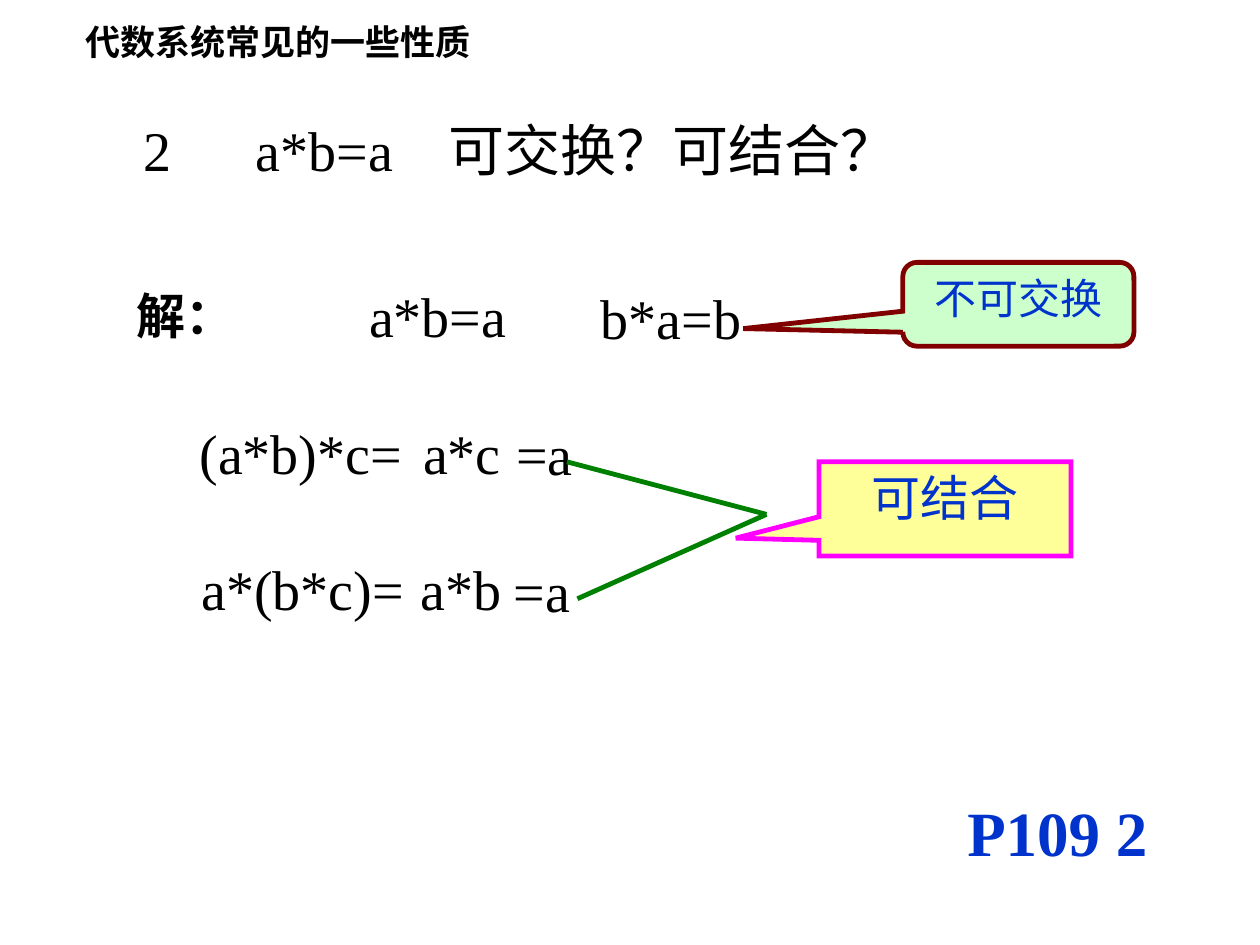
"""Build a slide on commutativity and associativity of a*b=a."""
from lxml import etree
from pptx import Presentation
from pptx.dml.color import RGBColor
from pptx.enum.shapes import MSO_CONNECTOR, MSO_SHAPE as SHAPE
from pptx.enum.text import MSO_ANCHOR, MSO_AUTO_SIZE, PP_ALIGN
from pptx.oxml.ns import qn
from pptx.util import Cm, Pt

BLACK = RGBColor(0, 0, 0)
BLUE = RGBColor(0x00, 0x33, 0xCC)
GREEN = RGBColor(0x00, 0x80, 0x00)
MAROON = RGBColor(0x80, 0x00, 0x00)
MAGENTA = RGBColor(0xFF, 0x00, 0xFF)
MINT = RGBColor(0xCC, 0xFF, 0xCC)
YELLOW = RGBColor(0xFF, 0xFF, 0x99)
LINE_WIDTH = Pt(2.75)

TITLE = dict(name="Arial", size=Pt(20), bold=True, color=BLACK)
LABEL = dict(TITLE, size=Pt(28))
FORMULA = dict(name="Times New Roman", size=Pt(32), bold=False, color=BLACK)
PAGE = dict(FORMULA, size=Pt(36), bold=True, color=BLUE)
VERDICT = dict(name="Arial", size=Pt(24), bold=False, color=BLUE)
BIG_VERDICT = dict(VERDICT, size=Pt(28))

QUESTION = "2\ta*b=a\t可交换？可结合？"
QUESTION_INSET = 0.82
QUESTION_TABS = (2.26, 6.14)

TEXTS = [
    ("代数系统常见的一些性质", (1.47, 0.28, 10.21, 1.09), TITLE),
    (QUESTION, (2.08, 2.21, 19.1, 1.6), FORMULA),
    ("解：", (2.5, 5.64, 2.5, 1.45), LABEL),
    ("a*b=a", (7.19, 5.56, 3.3, 1.6), FORMULA),
    ("b*a=b", (11.86, 5.59, 3.4, 1.6), FORMULA),
    ("(a*b)*c=", (3.77, 8.31, 4.65, 1.6), FORMULA),
    ("a*c", (8.28, 8.31, 2.15, 1.6), FORMULA),
    ("=a", (10.16, 8.33, 1.7, 1.6), FORMULA),
    ("a*(b*c)=", (3.81, 11.05, 4.65, 1.6), FORMULA),
    ("a*b", (8.23, 11.05, 2.25, 1.6), FORMULA),
    ("=a", (10.11, 11.1, 1.7, 1.6), FORMULA),
    ("P109 2", (19.25, 15.88, 4.25, 1.8), PAGE),
]
CALLOUTS = [
    ("不可交换", SHAPE.ROUNDED_RECTANGULAR_CALLOUT, (18.2, 5.29, 4.66, 1.69),
     (-1.19, 0.29, 0.17), MINT, MAROON, VERDICT),
    ("可结合", SHAPE.RECTANGULAR_CALLOUT, (16.51, 9.31, 5.08, 1.9),
     (-0.83, 0.31), YELLOW, MAGENTA, BIG_VERDICT),
]
LINE_STARTS = [(11.43, 9.31), (11.64, 12.07)]
MEETING_POINT = (15.45, 10.37)


def cm(values):
    return [Cm(v) for v in values]


def write(tf, text, style):
    r = tf.paragraphs[0].add_run()
    r.text = text
    for key, value in style.items():
        if key == "color":
            r.font.color.rgb = value
        else:
            setattr(r.font, key, value)


def add_tabs(p, stops):
    tabs = etree.SubElement(p._p.get_or_add_pPr(), qn("a:tabLst"))
    for stop in stops:
        etree.SubElement(tabs, qn("a:tab"), pos=str(Cm(stop)), algn="l")


prs = Presentation()
prs.slide_width, prs.slide_height = Cm(25.4), Cm(19.05)
s = prs.slides.add_slide(prs.slide_layouts[6])

for text, box, style in TEXTS:
    tf = s.shapes.add_textbox(*cm(box)).text_frame
    tf.word_wrap = text == QUESTION or style is TITLE
    tf.auto_size = MSO_AUTO_SIZE.SHAPE_TO_FIT_TEXT
    write(tf, text, style)
    if text == QUESTION:
        tf.margin_left = Cm(QUESTION_INSET)
        add_tabs(tf.paragraphs[0], QUESTION_TABS)

for text, kind, box, adjustments, fill, outline, style in CALLOUTS:
    sp = s.shapes.add_shape(kind, *cm(box))
    for i, value in enumerate(adjustments):
        sp.adjustments[i] = value
    sp.shadow.inherit = False
    sp.fill.solid()
    sp.fill.fore_color.rgb = fill
    sp.line.color.rgb = outline
    sp.line.width = LINE_WIDTH
    etree.SubElement(sp._element.spPr.find(qn("a:ln")), qn("a:miter"), lim="800000")
    tf = sp.text_frame
    tf.word_wrap = True
    tf.vertical_anchor = MSO_ANCHOR.TOP
    tf.paragraphs[0].alignment = PP_ALIGN.CENTER
    write(tf, text, style)

for start in LINE_STARTS:
    line = s.shapes.add_connector(MSO_CONNECTOR.STRAIGHT, *cm(start + MEETING_POINT))
    line.line.color.rgb = GREEN
    line.line.width = LINE_WIDTH
    etree.SubElement(line._element.spPr, qn("a:effectLst"))

prs.save("out.pptx")
